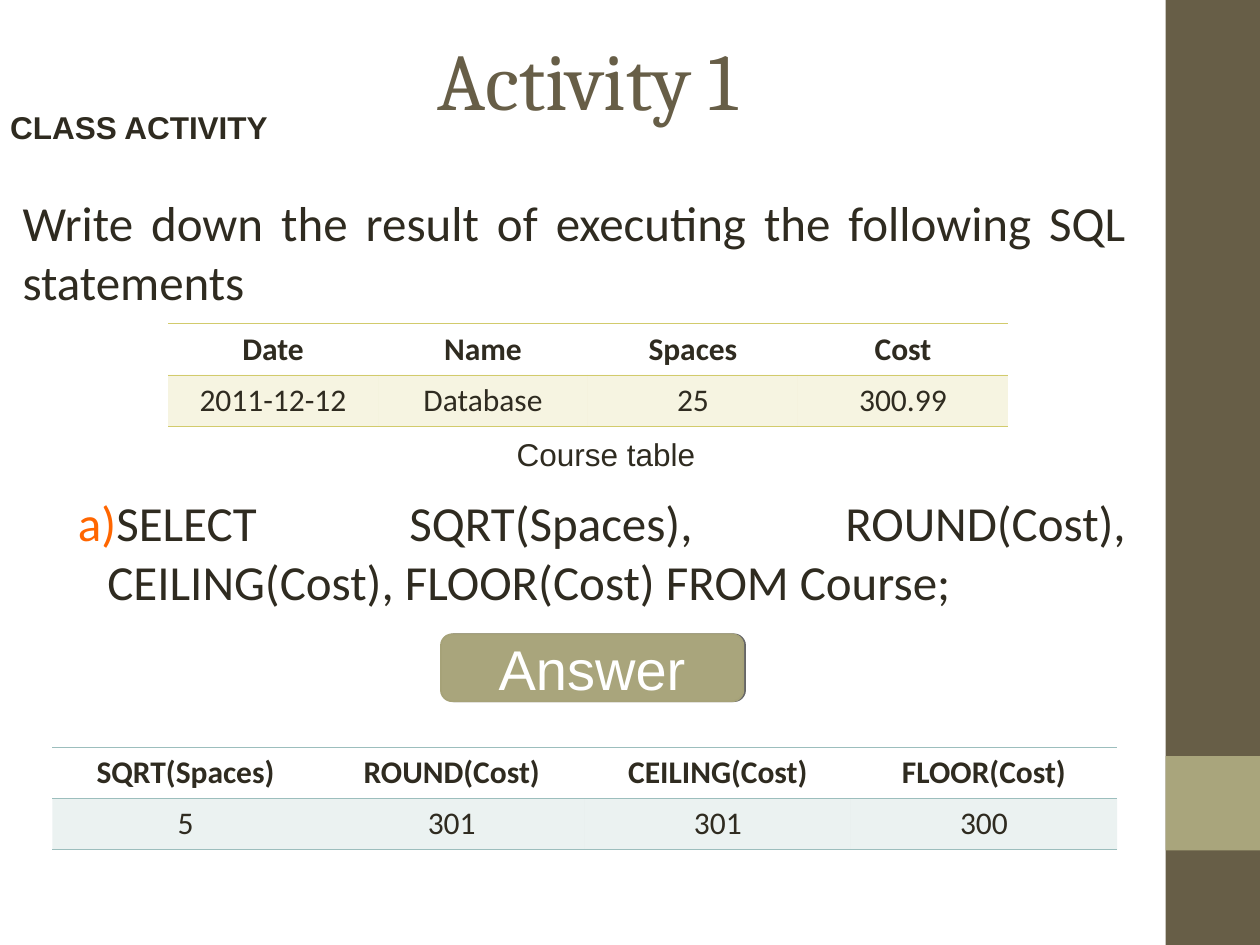
import lxml.etree
import pptx
import pptx.dml.color
import pptx.enum.shapes
import pptx.enum.text
import pptx.oxml
import pptx.oxml.ns
import pptx.util

Pt = pptx.util.Pt
RGBColor = pptx.dml.color.RGBColor
ALIGN = pptx.enum.text.PP_ALIGN
ANCHOR = pptx.enum.text.MSO_ANCHOR
SHAPE = pptx.enum.shapes.MSO_SHAPE

BROWN = RGBColor(0x67, 0x5E, 0x47)
OLIVE = RGBColor(0xA9, 0xA5, 0x7C)
OLIVE_EDGE = RGBColor(0xA6, 0xA2, 0x78)
INK = RGBColor(0x2F, 0x2B, 0x20)
GOLD = RGBColor(0xD2, 0xCB, 0x6C)
TEAL = RGBColor(0x9C, 0xBE, 0xBD)
ORANGE = RGBColor(0xFF, 0x66, 0x00)
WHITE = RGBColor(0xFF, 0xFF, 0xFF)

NS = pptx.oxml.ns.nsdecls("a")
NO_STYLE = "{2D5ABB26-0587-4C30-8999-92F81FD0307C}"
INSETS = {"margin_left": Pt(7.2), "margin_right": Pt(7.2),
          "margin_top": Pt(3.6), "margin_bottom": Pt(3.6)}


def apply(target, values):
    """Set every attribute named in values on target."""
    for name, value in values.items():
        setattr(target, name, value)


def write(paragraph, text, align, family, size, color=INK, bold=False):
    """Fill a paragraph with one formatted run."""
    paragraph.alignment = align
    run = paragraph.add_run()
    run.text = text
    apply(run.font, {"name": family, "size": Pt(size), "bold": bold})
    run.font.color.rgb = color


def add_text_frame(slide, box, **frame_format):
    """Add a wrapping text box and return its frame."""
    frame = slide.shapes.add_textbox(*map(Pt, box)).text_frame
    apply(frame, {"word_wrap": True, **INSETS, **frame_format})
    return frame


def add_block(slide, kind, box, color):
    """Add a plain filled shape without outline or shadow."""
    block = slide.shapes.add_shape(kind, *map(Pt, box))
    block.shadow.inherit = False
    block.fill.solid()
    block.fill.fore_color.rgb = color
    block.line.fill.background()
    return block


def add_sidebar(slide, box):
    """Draw the brown side strip with its olive square."""
    left, top, width, height = box
    add_block(slide, SHAPE.RECTANGLE, box, BROWN)
    add_block(slide, SHAPE.RECTANGLE, (left, top + 0.8 * height, width, width), OLIVE)


def add_heading(slide, box):
    """Place the slide title and the activity label under it."""
    left, top, width, height = map(Pt, box)
    title = slide.shapes.title
    apply(title, {"left": left, "top": top, "width": width, "height": height})
    title.text_frame.vertical_anchor = ANCHOR.MIDDLE
    write(title.text_frame.paragraphs[0], "Activity 1", ALIGN.CENTER, "Cambria", 46, BROWN)
    label_box = (box[0] - 36, box[1] + 65.5, 643.7, 25.2)
    label = add_text_frame(slide, label_box, margin_left=Pt(5.8), margin_right=Pt(5.8),
                           margin_top=0, margin_bottom=0).paragraphs[0]
    label.line_spacing = Pt(18)
    write(label, "CLASS ACTIVITY", ALIGN.LEFT, "Arial", 18, bold=True)


def add_question(slide, box):
    """Write the task and its lettered SQL statement."""
    frame = add_text_frame(slide, box)
    write(frame.paragraphs[0], "Write down the result of executing the following SQL statements",
          ALIGN.JUSTIFY, "Calibri", 28)
    statement = frame.add_paragraph()
    properties = statement._p.get_or_add_pPr()
    apply_indent = {"marL": Pt(48.5), "indent": Pt(-16.8)}
    for name, length in apply_indent.items():
        properties.set(name, str(int(length)))
    for xml in (f'<a:buClr {NS}><a:srgbClr val="{ORANGE}"/></a:buClr>',
                f'<a:buFont {NS} typeface="Calibri"/>',
                f'<a:buAutoNum {NS} type="alphaLcParenR"/>'):
        properties.append(pptx.oxml.parse_xml(xml))
    statement.space_before = Pt(104)
    write(statement, "SELECT SQRT(Spaces), ROUND(Cost), CEILING(Cost), FLOOR(Cost) FROM Course;",
          ALIGN.JUSTIFY, "Calibri", 28)


def format_cell(cell, text, accent, header):
    """Write one cell with its rules and its tint."""
    apply(cell, INSETS)
    write(cell.text_frame.paragraphs[0], text, ALIGN.CENTER, "Calibri", 18, bold=header)
    if header:
        cell.fill.background()
    else:
        cell.fill.solid()
        cell.fill.fore_color.rgb = accent
    properties = cell._tc.get_or_add_tcPr()
    for color in properties.iter(pptx.oxml.ns.qn("a:srgbClr")):
        lxml.etree.SubElement(color, pptx.oxml.ns.qn("a:alpha"), val="20000")
    for position, side in enumerate(("lnT", "lnB")):
        properties.insert(position, pptx.oxml.parse_xml(
            f'<a:{side} {NS} w="{int(Pt(0.45))}"><a:solidFill>'
            f'<a:srgbClr val="{accent}"/></a:solidFill></a:{side}>'))


def add_record_table(slide, box, accent, rows):
    """Add a ruled table with a bold header row and tinted records."""
    table = slide.shapes.add_table(len(rows), len(rows[0]), *map(Pt, box)).table
    apply(table, {"first_row": False, "horz_banding": False})
    table._tbl.tblPr.find(pptx.oxml.ns.qn("a:tableStyleId")).text = NO_STYLE
    for column in table.columns:
        column.width = Pt(box[2] / len(rows[0]))
    for row_index, row in enumerate(rows):
        for column_index, text in enumerate(row):
            format_cell(table.cell(row_index, column_index), text, accent, row_index == 0)


def add_caption(slide, box):
    """Write the caption of the course table."""
    caption = add_text_frame(slide, box).paragraphs[0]
    write(caption, "Course table", ALIGN.CENTER, "Arial", 18)


def add_answer_button(slide, box):
    """Draw the rounded answer button with its thin shadow."""
    button = add_block(slide, SHAPE.ROUNDED_RECTANGLE, box, OLIVE)
    button.line.color.rgb = OLIVE_EDGE
    button.line.width = Pt(1)
    effects = button._element.spPr.find(pptx.oxml.ns.qn("a:effectLst"))
    effects.append(pptx.oxml.parse_xml(
        f'<a:outerShdw {NS} blurRad="0" dist="{int(Pt(1))}" dir="0">'
        '<a:srgbClr val="000000"><a:alpha val="60000"/></a:srgbClr></a:outerShdw>'))
    apply(button.text_frame, {"vertical_anchor": ANCHOR.MIDDLE, **INSETS})
    write(button.text_frame.paragraphs[0], "Answer", ALIGN.CENTER, "Arial", 32, WHITE)


def main():
    """Build the activity slide and save it."""
    deck = pptx.Presentation()
    apply(deck, {"slide_width": Pt(720), "slide_height": Pt(540)})
    slide = deck.slides.add_slide(deck.slide_layouts[5])
    add_sidebar(slide, (666, 0, 54, 540))
    add_heading(slide, (36, 0, 600, 90))
    add_question(slide, (5.8, 106.5, 644.4, 250))
    add_record_table(slide, (96, 185, 480, 58.6), GOLD,
                     [("Date", "Name", "Spaces", "Cost"),
                      ("2011-12-12", "Database", "25", "300.99")])
    add_caption(slide, (269.3, 244.8, 154, 28.8))
    add_record_table(slide, (30, 427, 608.4, 58.6), TEAL,
                     [("SQRT(Spaces)", "ROUND(Cost)", "CEILING(Cost)", "FLOOR(Cost)"),
                      ("5", "301", "301", "300")])
    add_answer_button(slide, (252, 362.5, 172.8, 38.2))
    deck.save("out.pptx")


if __name__ == "__main__":
    main()
